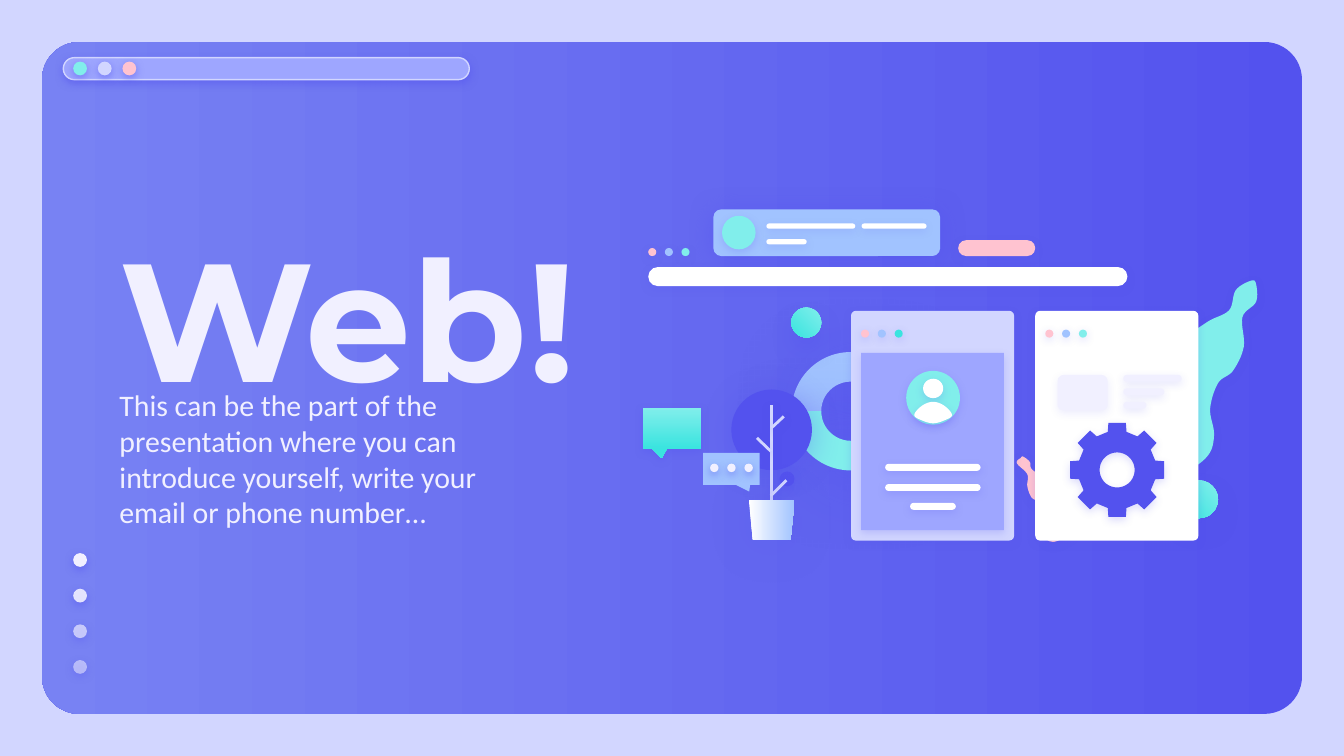
import math

import pptx
import pptx.dml.color
import pptx.enum.shapes
import pptx.enum.text
import pptx.oxml
import pptx.oxml.ns
import pptx.util

Pt = pptx.util.Pt
RGBColor = pptx.dml.color.RGBColor
SHAPE = pptx.enum.shapes.MSO_SHAPE
TEXT = pptx.enum.text

INDIGO = RGBColor(0x53, 0x52, 0xEE)
PERIWINKLE = RGBColor(0x78, 0x82, 0xF3)
LAVENDER = RGBColor(0x9E, 0xA6, 0xFF)
MIST = RGBColor(0xD2, 0xD6, 0xFF)
PALE = RGBColor(0xF1, 0xF0, 0xFF)
WHITE = RGBColor(0xFF, 0xFF, 0xFF)
SKY = RGBColor(0xA1, 0xC3, 0xFF)
AQUA = RGBColor(0x81, 0xEE, 0xEB)
TEAL = RGBColor(0x3A, 0xE4, 0xDF)
PINK = RGBColor(0xFF, 0xC3, 0xD0)

# Shadows: opacity %, blur, distance, direction in degrees
SOFT = (18, 4.5, 1.5, 90)
FAINT = (14, 4.5, 1.5, 90)
STRONG = (50, 4.5, 1.5, 90)
FLOATING = (38, 12.4, 6.8, 90)

PINK_BLOB = [(4.3, 0), (2.9, 0.7), (0.9, 3.5), (6.5, 9.4), (6.5, 15.8), (8.6, 21.6),
             (12.2, 24.5), (14.4, 31), (13, 36.7), (14.4, 41.8), (18.7, 45.4),
             (23.8, 44.6), (31, 38.9), (27.4, 24.5), (23.8, 22.3), (20.9, 14.4),
             (9.4, 7.2), (7.9, 2.9)]
AQUA_BLOB = [(64.1, 0), (67, 1.4), (67.1, 11.2), (59.8, 19.4), (60.5, 35.3),
             (54.7, 48.2), (46.8, 54.7), (42.5, 68.4), (44.6, 82.1), (41.8, 92.9),
             (31.7, 100.8), (21.6, 100.1), (4.3, 86.4), (13.7, 54.7), (21.6, 49),
             (28.1, 32.4), (41, 22), (52.6, 15.8), (56.2, 5)]
SHOULDERS = [(0, 7.2), (4, 2.2), (10.1, 0), (16.2, 2.2), (20.2, 7.2), (15.5, 10.2),
             (10.1, 11.5), (4.7, 10.2)]


def add_shadow(properties, shadow):
    """Append an effect list, empty when shadow is None."""
    tag = pptx.oxml.ns.qn("a:effectLst")
    effects = properties.find(tag)
    if effects is None:
        effects = properties.makeelement(tag, {})
        properties.append(effects)
    if shadow:
        opacity, blur, distance, angle = shadow
        effects.append(pptx.oxml.parse_xml(
            f'<a:outerShdw {pptx.oxml.ns.nsdecls("a")} blurRad="{Pt(blur)}" '
            f'dist="{Pt(distance)}" dir="{angle * 60000}" algn="bl" rotWithShape="0">'
            f'<a:srgbClr val="{INDIGO}"><a:alpha val="{opacity * 1000}"/></a:srgbClr>'
            '</a:outerShdw>'))


def paint(shape, fill, shadow):
    """Fill with a colour, or a gradient given as (first, last, clockwise angle)."""
    if isinstance(fill, RGBColor):
        shape.fill.solid()
        shape.fill.fore_color.rgb = fill
    else:
        shape.fill.gradient()
        shape.fill.gradient_angle = -fill[2] % 360
        for stop, color in zip(shape.fill.gradient_stops, fill):
            stop.color.rgb = color
    shape.line.fill.background()
    shape.shadow.inherit = False
    add_shadow(shape.element.spPr, shadow)


def add_preset(slide, kind, left, top, width, height, fill, shadow=SOFT, adjust=()):
    shape = slide.shapes.add_shape(kind, Pt(left), Pt(top), Pt(width), Pt(height))
    for index, value in enumerate(adjust):
        shape.adjustments[index] = value
    paint(shape, fill, shadow)
    return shape


def add_pill(slide, left, top, width, height, fill, shadow=SOFT):
    return add_preset(slide, SHAPE.ROUNDED_RECTANGLE, left, top, width, height, fill, shadow, [0.5])


def add_dots(slide, left, top, size, step_x, step_y, colors, shadow=SOFT):
    return [add_preset(slide, SHAPE.OVAL, left + index * step_x, top + index * step_y,
                       size, size, color, shadow) for index, color in enumerate(colors)]


def add_outline(slide, left, top, contours, fill, shadow=SOFT):
    builder = None
    for contour in contours:
        points = [(Pt(left + x), Pt(top + y)) for x, y in contour]
        if builder is None:
            builder = slide.shapes.build_freeform(*points[0], scale=1.0)
        else:
            builder.move_to(*points[0])
        builder.add_line_segments(points[1:], close=True)
    paint(builder.convert_to_shape(), fill, shadow)


def smooth(anchors, steps=8):
    """Closed Catmull-Rom curve through the anchors."""
    curve = []
    for index in range(len(anchors)):
        a, b, c, d = (anchors[(index + shift) % len(anchors)] for shift in (-1, 0, 1, 2))
        for t in (step / steps for step in range(steps)):
            curve.append(tuple(
                q + (r - p) * t / 2 + (2 * p - 5 * q + 4 * r - s) * t ** 2 / 2
                + (3 * q - p - 3 * r + s) * t ** 3 / 2 for p, q, r, s in zip(a, b, c, d)))
    return curve


def add_backdrop(slide, left, top, width, height):
    slide.background.fill.solid()
    slide.background.fill.fore_color.rgb = MIST
    add_preset(slide, SHAPE.ROUNDED_RECTANGLE, left, top, width, height,
               (INDIGO, PERIWINKLE, 180), None, [0.056])
    bar = add_pill(slide, left + 11.4, top + 8.4, 217.5, 11.8, LAVENDER, STRONG)
    bar.line.color.rgb = MIST
    bar.line.width = Pt(0.75)
    add_dots(slide, left + 16.7, top + 10.5, 7.4, 13.2, 0, [AQUA, MIST, PINK], STRONG)
    dots = add_dots(slide, left + 16.7, top + 273.8, 7.4, 0, 19.1, [PALE] * 4, STRONG)
    for dot, opacity in zip(dots, (100, 90, 67, 54)):
        color = dot.element.spPr.find(".//" + pptx.oxml.ns.qn("a:srgbClr"))
        color.append(pptx.oxml.parse_xml(
            f'<a:alpha {pptx.oxml.ns.nsdecls("a")} val="{opacity * 1000}"/>'))


def write_text(shape, box, text, font_name, size, bold):
    shape.left, shape.top, shape.width, shape.height = (Pt(value) for value in box)
    frame = shape.text_frame
    frame.word_wrap = True
    frame.auto_size = TEXT.MSO_AUTO_SIZE.NONE
    frame.vertical_anchor = TEXT.MSO_ANCHOR.MIDDLE
    frame.margin_left = frame.margin_right = frame.margin_top = frame.margin_bottom = Pt(7.2)
    paragraph = frame.paragraphs[0]
    paragraph.alignment = TEXT.PP_ALIGN.LEFT
    run = paragraph.add_run()
    run.text = text
    run.font.name, run.font.size, run.font.bold = font_name, Pt(size), bold
    run.font.color.rgb = PALE


def add_heading(slide, left, top):
    title = slide.shapes.title
    title.element.getparent().append(title.element)  # in front of the backdrop
    write_text(title, (left, top, 262, 89.3), "Web!", "Montserrat", 90, True)
    subtitle = slide.shapes.add_textbox(0, 0, 0, 0)
    write_text(subtitle, (left, top + 89.3, 243.4, 63.4),
               "This can be the part of the presentation where you can introduce yourself, "
               "write your email or phone number…", "Calibri", 16, False)


def add_search_area(slide, left, top):
    add_preset(slide, SHAPE.ROUNDED_RECTANGLE, left + 34.9, top, 121.5, 25, SKY,
               (50, 14.6, 1.5, 90), [0.167])
    for x, y, width in ((63.3, 7.5, 47.6), (114.3, 7.5, 34.8), (63.3, 15.9, 21.6)):
        add_pill(slide, left + x, top + y, width, 2.8, WHITE, FAINT)
    add_preset(slide, SHAPE.OVAL, left + 39.5, top + 3.4, 18, 18, AQUA)
    add_pill(slide, left + 166, top + 16.5, 41.3, 8.5, PINK, (24, 4.5, 1.5, 90))
    add_pill(slide, left, top + 30.9, 256.7, 10.2, WHITE)
    add_dots(slide, left, top + 20.7, 4.3, 8.9, 0, [PINK, SKY, AQUA])


def add_plant(slide, left, top):
    add_preset(slide, SHAPE.OVAL, left, top, 43.2, 43.2, INDIGO, (36, 16.9, 1.5, 90))
    add_preset(slide, SHAPE.OVAL, left + 25.9, top + 43.9, 7.9, 7.9, INDIGO, (26, 4.5, 1.5, 90))
    for x1, y1, x2, y2 in ((21.6, 8.3, 21.6, 59.4), (13.7, 25.9, 21.2, 33.1),
                           (28.1, 14.4, 21.6, 20.5), (29.5, 48.6, 21.2, 56.9)):
        branch = slide.shapes.add_connector(
            pptx.enum.shapes.MSO_CONNECTOR.STRAIGHT,
            Pt(left + x1), Pt(top + y1), Pt(left + x2), Pt(top + y2))
        branch.line.color.rgb = MIST
        branch.line.width = Pt(1.5)
        add_shadow(branch.element.spPr, (28, 4.5, 1.5, 90))
    pot = [(0, 0), (24.5, 0), (22.3, 21.6), (2.2, 21.6)]
    add_outline(slide, left + 9.4, top + 59.3, [pot], (WHITE, SKY, 0), (24, 25.9, 1.5, 90))


def add_chat_bubble(slide, left, top):
    add_preset(slide, SHAPE.ROUNDED_RECTANGULAR_CALLOUT, left, top, 30.2, 17.2, SKY, None,
               [0.317, 0.706, 0])
    add_dots(slide, left + 3.7, top + 5.8, 4.5, 9.2, 0, [PALE] * 3, STRONG)


def add_window(slide, left, top, fill, dot_colors):
    add_preset(slide, SHAPE.ROUNDED_RECTANGLE, left, top, 87.4, 123.1, fill, adjust=[0.03])
    add_dots(slide, left + 5.4, top + 10.1, 4.3, 9, 0, dot_colors)


def add_profile_window(slide, left, top):
    add_window(slide, left, top, MIST, [PINK, SKY, TEAL])
    add_preset(slide, SHAPE.RECTANGLE, left + 5.4, top + 22.6, 76.6, 95, LAVENDER)
    for x, y, width in ((18.3, 82, 51.1), (18.3, 92.8, 51.1), (31.7, 102.9, 24.5)):
        add_pill(slide, left + x, top + y, width, 3.7, WHITE)
    add_preset(slide, SHAPE.OVAL, left + 29.6, top + 32.2, 28.8, 28.8, AQUA)
    add_preset(slide, SHAPE.OVAL, left + 38.6, top + 36.4, 10.8, 10.4, WHITE)
    add_outline(slide, left + 33.9, top + 48.8, [smooth(SHOULDERS)], WHITE)


def add_settings_window(slide, left, top):
    add_window(slide, left, top, WHITE, [PINK, SKY, AQUA])
    teeth = []
    for angle in (index * math.pi / 4 for index in range(8)):
        for radius, offset in ((20.4, -5), (25.2, -4.7), (25.2, 4.7), (20.4, 5)):
            teeth.append((radius * math.cos(angle) - offset * math.sin(angle),
                          radius * math.sin(angle) + offset * math.cos(angle)))
    hole = [(9.4 * math.cos(math.radians(angle)), 9.4 * math.sin(math.radians(angle)))
            for angle in range(0, 360, 10)]
    add_outline(slide, left + 43.9, top + 85.3, [teeth, hole], INDIGO)
    add_preset(slide, SHAPE.ROUNDED_RECTANGLE, left + 12, top + 34.4, 26.8, 19, PALE,
               (9, 4.5, 1.5, 90), [0.167])
    for index, width in enumerate((31.3, 22, 12.4)):
        add_pill(slide, left + 47.2, top + 34.4 + index * 7.2, width, 3.6, PALE, FAINT)


def add_illustration(slide, left, top):
    add_outline(slide, left + 199.6, top + 132.5, [smooth(PINK_BLOB)], PINK, (22, 4.5, 1.5, 90))
    add_outline(slide, left + 261.5, top + 38.3, [smooth(AQUA_BLOB)], AQUA, (22, 4.5, 1.5, 90))
    add_search_area(slide, left + 3, top)
    add_preset(slide, SHAPE.ROUNDED_RECTANGULAR_CALLOUT, left, top + 106.3, 31.2, 21.9,
               (AQUA, TEAL, 90), (31, 4.5, 1.5, 90), [-0.174, 0.731, 0])
    for color, rotation in ((SKY, 0), (AQUA, 180)):
        ring = add_preset(slide, SHAPE.BLOCK_ARC, left + 79.8, top + 76.4, 63.4, 63.4, color,
                          (67, 38.2, 9, 49), [108, 0, 0.25])
        ring.rotation = rotation
    add_plant(slide, left + 47.5, top + 96.5)
    add_chat_bubble(slide, left + 32.4, top + 130.4)
    for x, y, size in ((288, 145.2, 20.2), (79.7, 52.6, 16)):
        add_preset(slide, SHAPE.OVAL, left + x, top + y, size, size, (AQUA, TEAL, 135), FLOATING)
    add_settings_window(slide, left + 210.3, top + 54.3)
    add_profile_window(slide, left + 111.6, top + 54.3)


def main():
    presentation = pptx.Presentation()
    presentation.slide_width, presentation.slide_height = Pt(720), Pt(405)
    slide = presentation.slides.add_slide(presentation.slide_layouts.get_by_name("Title Only"))
    add_backdrop(slide, 22.5, 22.5, 675, 360)
    add_heading(slide, 56.9, 124.5)
    add_illustration(slide, 344.3, 112.2)
    presentation.save("out.pptx")


if __name__ == "__main__":
    main()
